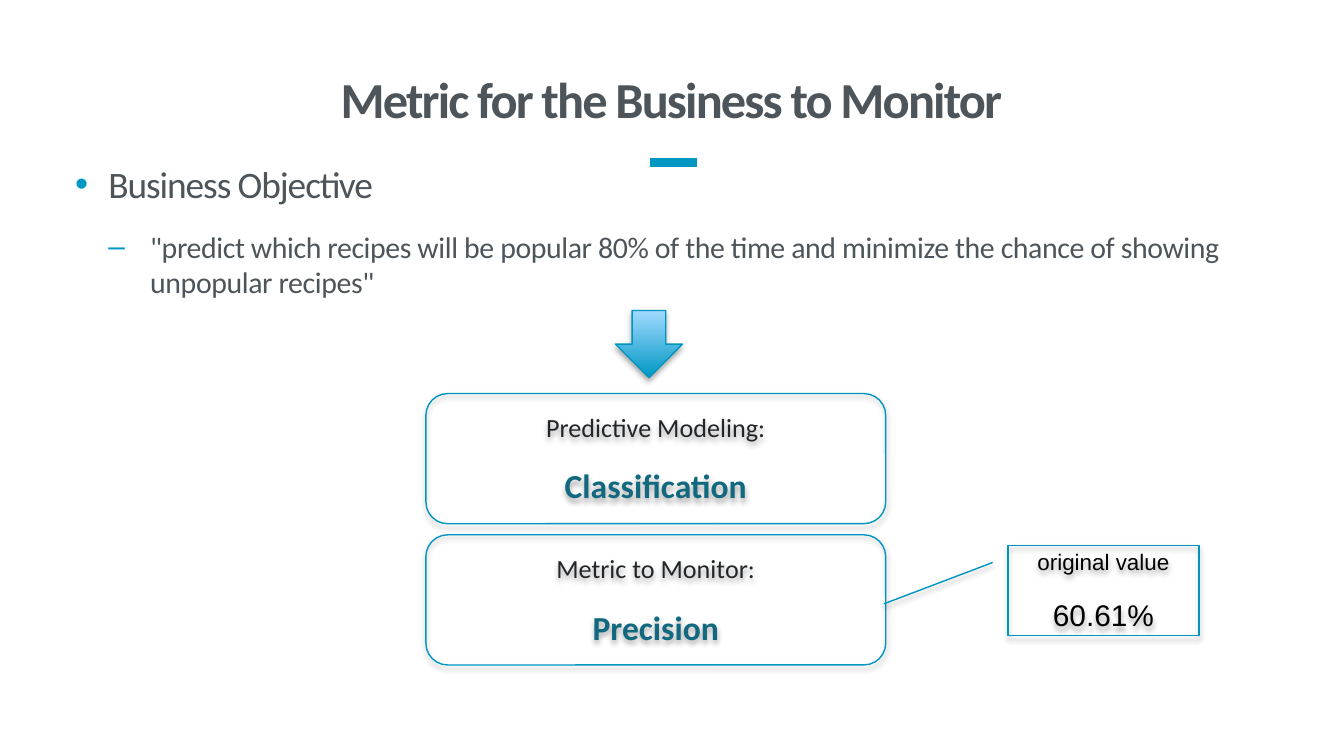
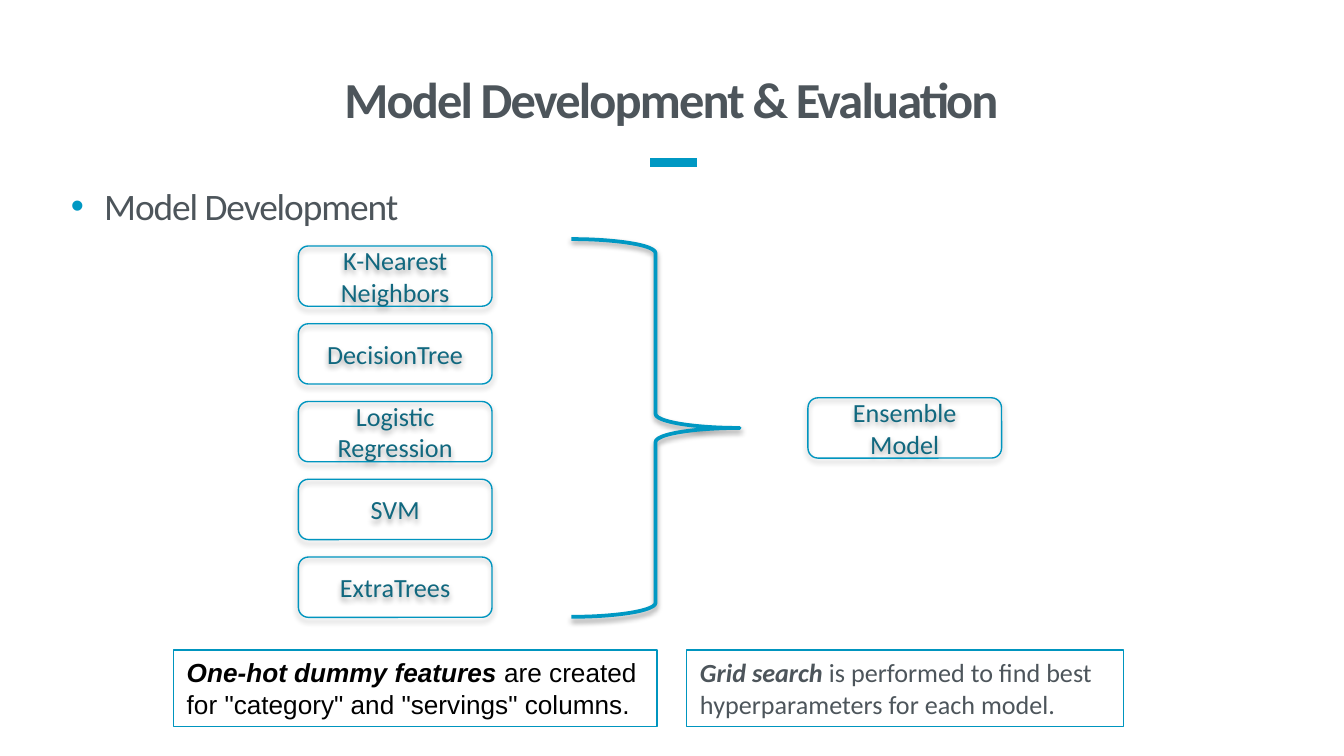
"""Build two slides on a recipe model: the metric to monitor and the models developed."""
from lxml import etree
from pptx import Presentation
from pptx.dml.color import RGBColor
from pptx.enum.shapes import MSO_CONNECTOR, MSO_SHAPE
from pptx.enum.text import MSO_ANCHOR, MSO_AUTO_SIZE, PP_ALIGN
from pptx.oxml.ns import qn
from pptx.util import Cm, Pt

ROUNDED, RECTANGLE = MSO_SHAPE.ROUNDED_RECTANGLE, MSO_SHAPE.RECTANGLE
ARROW, BRACE, CALLOUT = MSO_SHAPE.DOWN_ARROW, MSO_SHAPE.RIGHT_BRACE, MSO_SHAPE.LINE_CALLOUT_1
LEFT, CENTER = PP_ALIGN.LEFT, PP_ALIGN.CENTER
TOP, MIDDLE, BOTTOM = MSO_ANCHOR.TOP, MSO_ANCHOR.MIDDLE, MSO_ANCHOR.BOTTOM
TITLE_ONLY = 5

COLORS = {
    "accent": "0098C3", "outline": "0095BF", "light": "A1D9FF", "text": "4D555B",
    "label": "232628", "strong": "11687F", "black": "000000",
}

METRIC_TITLE = "Metric for the Business to Monitor"
OBJECTIVE = "Business Objective"
OBJECTIVE_QUOTE = ('"predict which recipes will be popular 80% of the time and '
                   'minimize the chance of showing unpopular recipes"')
STEPS = [("Predictive Modeling:", "Classification"), ("Metric to Monitor:", "Precision")]
BASELINE = ("original value", "60.61%")

MODEL_TITLE = "Model Development & Evaluation"
MODEL_HEADING = "Model Development"
MODELS = [["K-Nearest Neighbors"], ["DecisionTree"], ["Logistic", "Regression"],
          ["SVM"], ["ExtraTrees"]]
ENSEMBLE = ["Ensemble Model"]
NOTES = [
    (3.28, 9.14, "One-hot dummy features ",
     'are created for "category" and "servings" columns.', "Arial", "black"),
    (12.98, 8.26, "Grid search ",
     "is performed to find best hyperparameters for each model.", "Calibri", "text"),
]

STEP_LEFT, STEP_TOP, STEP_WIDTH, STEP_HEIGHT, STEP_PITCH = 8.05, 7.44, 8.69, 2.46, 2.67
MODEL_LEFT, MODEL_TOP, MODEL_PITCH = 5.64, 4.65, 1.47
MODEL_SIZE = (3.66, 1.14)


def rgb(name):
    return RGBColor.from_string(COLORS[name])


def add_text(frame, text, size, color="text", font="Calibri", bold=False, lead="",
             align=LEFT, before=0, line=None, spacing=0, bullet=None, level=0,
             margin=0, hang=0):
    para = frame.paragraphs[0]
    if para.runs:
        para = frame.add_paragraph()
    para.alignment, para.level = align, level
    para.space_before, para.line_spacing = Pt(before), line
    for words, emphasis in ((lead, True), (text, False)):
        if not words:
            continue
        span = para.add_run()
        span.text = words
        span.font.name, span.font.size = font, Pt(size)
        span.font.bold, span.font.italic = bold or emphasis, emphasis
        span.font.color.rgb = rgb(color)
        if spacing:
            span.font._element.set("spc", str(round(spacing * 100)))
    if bullet:
        settings = para._p.get_or_add_pPr()
        settings.set("marL", str(Cm(margin)))
        settings.set("indent", str(-Cm(hang)))
        paint = etree.SubElement(settings, qn("a:buClr"))
        etree.SubElement(paint, qn("a:srgbClr"), val=COLORS["accent"])
        etree.SubElement(settings, qn("a:buFont"), typeface="Arial")
        etree.SubElement(settings, qn("a:buChar"), char=bullet)


def add_shadow(shape, distance=1.8, opacity=35):
    effects = shape._element.spPr.find(qn("a:effectLst"))
    shadow = etree.SubElement(effects, qn("a:outerShdw"), blurRad=str(Pt(3.1)),
                              dist=str(Pt(distance)), dir="5400000", rotWithShape="0")
    paint = etree.SubElement(shadow, qn("a:srgbClr"), val=COLORS["black"])
    etree.SubElement(paint, qn("a:alpha"), val=str(opacity * 1000))


def add_outline(page, kind, left, top, width, height, color="outline", weight=0.75,
                anchor=MIDDLE):
    shape = page.shapes.add_shape(kind, Cm(left), Cm(top), Cm(width), Cm(height))
    shape.shadow.inherit = False
    shape.fill.background()
    shape.line.color.rgb, shape.line.width = rgb(color), Pt(weight)
    shape.text_frame.vertical_anchor = anchor
    return shape


def add_page(deck, title):
    page = deck.slides.add_slide(deck.slide_layouts[TITLE_ONLY])
    box = page.shapes.title
    box.left, box.top, box.width, box.height = Cm(1.09), Cm(0.53), Cm(23.19), Cm(2.03)
    box.text_frame.vertical_anchor = BOTTOM
    box.text_frame.auto_size = MSO_AUTO_SIZE.NONE
    add_text(box.text_frame, title, 27, bold=True, align=CENTER, line=0.8, spacing=-1)
    dash = page.shapes.add_connector(MSO_CONNECTOR.STRAIGHT, Cm(12.29), Cm(3.07),
                                     Cm(13.18), Cm(3.07))
    dash.line.color.rgb, dash.line.width = rgb("accent"), Pt(4.5)
    etree.SubElement(dash._element.spPr, qn("a:effectLst"))
    return page


def add_body(page, left, heading, **layout):
    box = page.shapes.add_textbox(Cm(left), Cm(2.92), Cm(23.19), Cm(10.85))
    box.text_frame.word_wrap = True
    add_text(box.text_frame, heading, 20, spacing=-0.6, bullet="•",
             margin=0.63, hang=0.63, **layout)
    return box.text_frame


def add_pair(shape, label, value, label_format, value_format):
    add_shadow(shape)
    add_text(shape.text_frame, label, align=CENTER, **label_format)
    add_text(shape.text_frame, value, align=CENTER, before=12, **value_format)


def add_model(page, left, top, lines):
    shape = add_outline(page, ROUNDED, left, top, *MODEL_SIZE)
    add_shadow(shape)
    for text in lines:
        add_text(shape.text_frame, text, 14, "strong", align=CENTER)


def build_metric_page(deck):
    page = add_page(deck, METRIC_TITLE)
    body = add_body(page, 1.17, OBJECTIVE, before=12)
    add_text(body, OBJECTIVE_QUOTE, 16, before=12, spacing=-0.2, bullet="–", level=1,
             margin=1.42, hang=0.79)

    arrow = add_outline(page, ARROW, 11.63, 5.87, 1.27, 1.27)
    arrow.fill.gradient()
    arrow.fill.gradient_angle = 90
    for stop, color in zip(arrow.fill.gradient_stops, ("accent", "light")):
        stop.color.rgb = rgb(color)
    add_shadow(arrow)

    for index, (label, value) in enumerate(STEPS):
        step = add_outline(page, ROUNDED, STEP_LEFT, STEP_TOP + index * STEP_PITCH,
                           STEP_WIDTH, STEP_HEIGHT)
        add_pair(step, label, value, {"size": 14, "color": "label"},
                 {"size": 18, "color": "strong", "bold": True})

    callout = add_outline(page, CALLOUT, 19.05, 10.31, 3.61, 1.7)
    for index, value in enumerate((0.19, -0.08, 0.65, -0.65)):
        callout.adjustments[index] = value
    plain = {"font": "Arial", "color": "black"}
    add_pair(callout, *BASELINE, {"size": 12, **plain}, {"size": 16, **plain})


def build_model_page(deck):
    page = add_page(deck, MODEL_TITLE)
    add_body(page, 1.09, MODEL_HEADING, line=1.5)
    for index, lines in enumerate(MODELS):
        add_model(page, MODEL_LEFT, MODEL_TOP + index * MODEL_PITCH, lines)
    brace = add_outline(page, BRACE, 10.8, 4.52, 3.18, 7.14, "accent", 2)
    add_shadow(brace, distance=1.6, opacity=38)
    add_model(page, 15.27, 7.52, ENSEMBLE)
    for left, width, lead, text, font, color in NOTES:
        note = add_outline(page, RECTANGLE, left, 12.29, width, 1.45, anchor=TOP)
        add_text(note.text_frame, text, 14, color, font, lead=lead)


def main():
    deck = Presentation()
    deck.slide_width, deck.slide_height = Cm(25.4), Cm(14.29)
    build_metric_page(deck)
    build_model_page(deck)
    deck.save("out.pptx")


if __name__ == "__main__":
    main()
